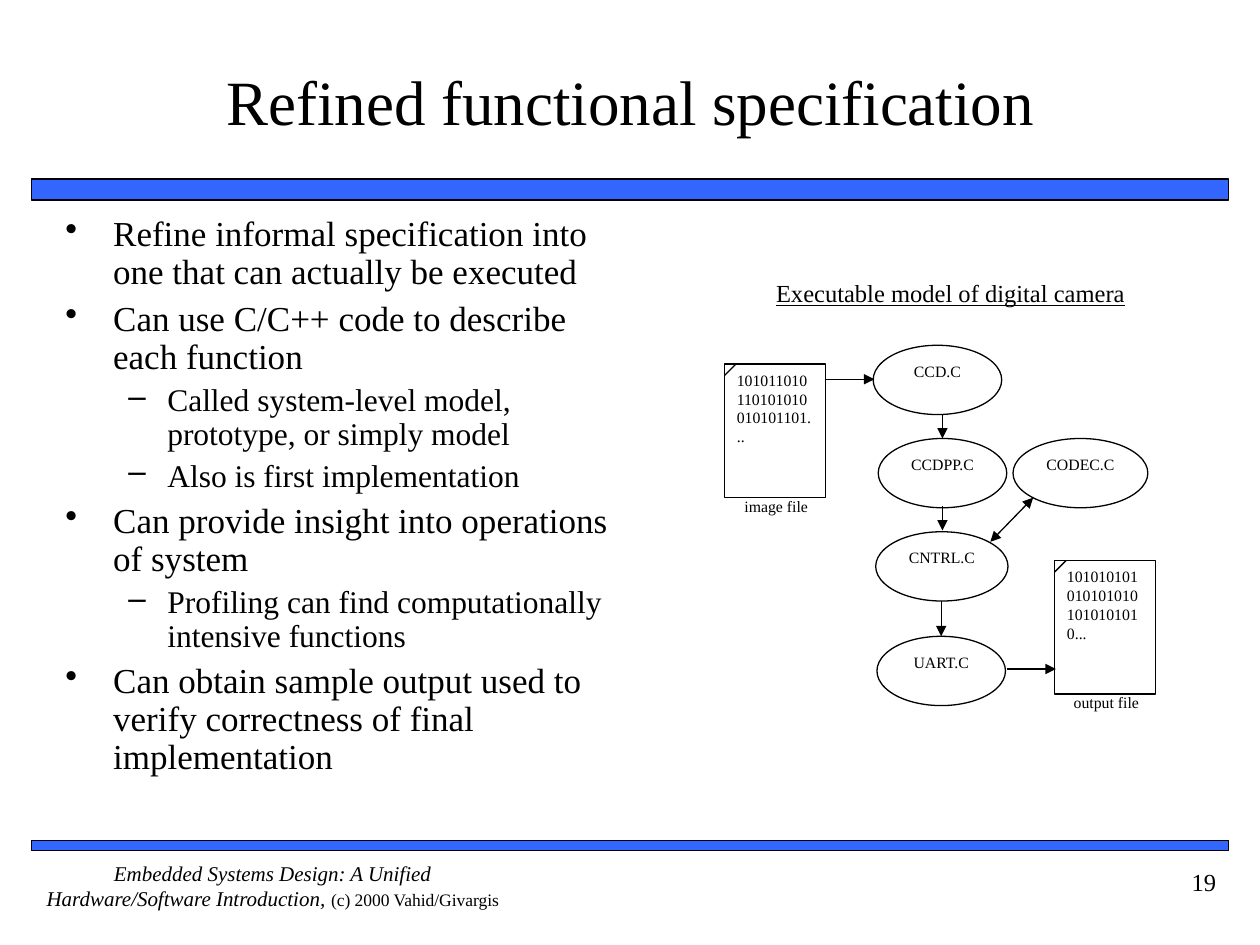
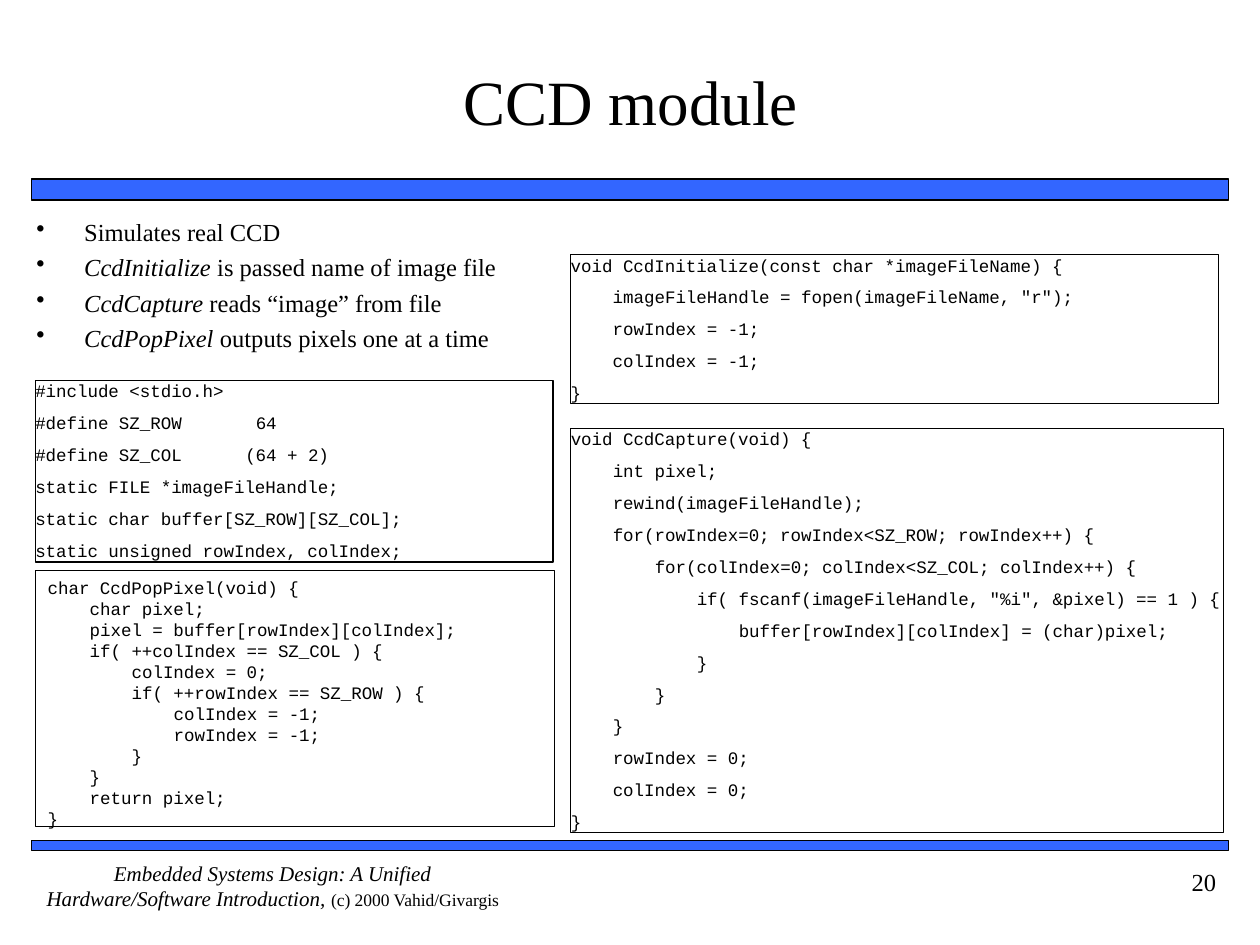
from dataclasses import dataclass
from typing import NamedTuple

from lxml.etree import SubElement
from pptx import Presentation
from pptx.dml.color import RGBColor
from pptx.enum.shapes import MSO_CONNECTOR as Connector, MSO_SHAPE as Preset
from pptx.enum.text import MSO_ANCHOR as Anchor, PP_ALIGN as Align
from pptx.oxml.ns import qn
from pptx.util import Inches, Pt


@dataclass(frozen=True)
class Theme:
    band: RGBColor = RGBColor(0x33, 0x66, 0xFF)
    ink: RGBColor = RGBColor(0, 0, 0)
    paper: RGBColor = RGBColor(255, 255, 255)
    serif: str = "Times New Roman"
    mono: str = "Courier New"
    title: float = 36
    topic: float = 20
    subtopic: float = 18
    note: float = 14
    footer: float = 12
    code: float = 10
    label: float = 9
    thin: float = 0.75
    band_line: float = 1


class Box(NamedTuple):
    left: float
    top: float
    width: float
    height: float

    def inner(self, left, top, width, height):
        return Box(self.left + left, self.top + top, width, height)


THEME = Theme()
PADDING = (0.1, 0.05)
CHARACTER_WIDTH = THEME.code * 0.6 / 72

TOPICS = [
    (0, "Refine informal specification into one that can actually be executed"),
    (0, "Can use C/C++ code to describe each function"),
    (1, "Called system-level model, prototype, or simply model"),
    (1, "Also is first implementation"),
    (0, "Can provide insight into operations of system"),
    (1, "Profiling can find computationally intensive functions"),
    (0, "Can obtain sample output used to verify correctness of final implementation"),
]
CCD_POINTS = [
    ("", "Simulates real CCD"),
    ("CcdInitialize", " is passed name of image file"),
    ("CcdCapture", " reads “image” from file"),
    ("CcdPopPixel", " outputs pixels one at a time"),
]
DECLARATIONS = """#include <stdio.h>
#define SZ_ROW       64
#define SZ_COL      (64 + 2)
static FILE *imageFileHandle;
static char buffer[SZ_ROW][SZ_COL];
static unsigned rowIndex, colIndex;"""
POP_PIXEL = """char CcdPopPixel(void) {
    char pixel;
    pixel = buffer[rowIndex][colIndex];
    if( ++colIndex == SZ_COL ) {
        colIndex = 0;
        if( ++rowIndex == SZ_ROW ) {
            colIndex = -1;
            rowIndex = -1;
        }
    }
    return pixel;
}"""
INITIALIZE = """void CcdInitialize(const char *imageFileName) {
    imageFileHandle = fopen(imageFileName, "r");
    rowIndex = -1;
    colIndex = -1;
}"""
CAPTURE = """void CcdCapture(void) {
    int pixel;
    rewind(imageFileHandle);
    for(rowIndex=0; rowIndex<SZ_ROW; rowIndex++) {
        for(colIndex=0; colIndex<SZ_COL; colIndex++) {
            if( fscanf(imageFileHandle, "%i", &pixel) == 1 ) {
                buffer[rowIndex][colIndex] = (char)pixel;
            }
        }
    }
    rowIndex = 0;
    colIndex = 0;
}"""


def set_frame(shape, padding, anchor=Anchor.TOP):
    frame = shape.text_frame
    frame.word_wrap = True
    frame.vertical_anchor = anchor
    frame.margin_left = frame.margin_right = Inches(padding[0])
    frame.margin_top = frame.margin_bottom = Inches(padding[1])
    return frame


def add_text_box(slide, box, padding=PADDING, anchor=Anchor.TOP):
    return set_frame(slide.shapes.add_textbox(*map(Inches, box)), padding, anchor)


def add_paragraph(frame, text, size, font=THEME.serif, align=Align.LEFT, before=0):
    first = frame.paragraphs[0]
    paragraph = frame.add_paragraph() if first.runs else first
    paragraph.alignment = align
    paragraph.space_before = Pt(before)
    paragraph.font.name = font
    paragraph.font.size = Pt(size)
    paragraph.font.color.rgb = THEME.ink
    if text:
        paragraph.add_run().text = text
    return paragraph


def add_bullet(paragraph, mark, left, hanging):
    properties = paragraph._p.get_or_add_pPr()
    properties.set("marL", str(Inches(left)))
    properties.set("indent", str(-Inches(hanging)))
    bullet = properties.makeelement(qn("a:buChar"), {"char": mark})
    properties.find(qn("a:defRPr")).addprevious(bullet)


def add_figure(slide, preset, box, fill=THEME.paper, line=THEME.thin):
    shape = slide.shapes.add_shape(preset, *map(Inches, box))
    shape.shadow.inherit = False
    if fill is None:
        shape.fill.background()
    else:
        shape.fill.solid()
        shape.fill.fore_color.rgb = fill
    if line:
        shape.line.color.rgb = THEME.ink
        shape.line.width = Pt(line)
    else:
        shape.line.fill.background()
    return shape


def add_line(slide, box, start, end, arrows=()):
    points = (box.left + start[0], box.top + start[1],
              box.left + end[0], box.top + end[1])
    connector = slide.shapes.add_connector(Connector.STRAIGHT, *map(Inches, points))
    connector.line.color.rgb = THEME.ink
    connector.line.width = Pt(THEME.thin)
    properties = connector._element.spPr
    for arrow in arrows:
        SubElement(properties.find(qn("a:ln")), qn(arrow), type="triangle")
    SubElement(properties, qn("a:effectLst"))


def add_page(presentation, title, number):
    slide = presentation.slides.add_slide(presentation.slide_layouts[6])
    for top, height in ((1.42, 0.17), (6.67, 0.08)):
        add_figure(slide, Preset.RECTANGLE, Box(0.25, top, 9.5, height),
                   THEME.band, THEME.band_line)
    heading = add_text_box(slide, Box(0.42, 0.17, 9.17, 1.25), (0, 0.05), Anchor.MIDDLE)
    add_paragraph(heading, title, THEME.title, align=Align.CENTER)

    footer = add_text_box(slide, Box(0.25, 6.83, 3.83, 0.5), (0, 0))
    credit = add_paragraph(
        footer, "Embedded Systems Design: A Unified Hardware/Software Introduction, ",
        THEME.footer, align=Align.CENTER)
    credit.runs[0].font.italic = True
    authors = credit.add_run()
    authors.text = "(c) 2000 Vahid/Givargis"
    authors.font.size = Pt(THEME.code)

    page = add_text_box(slide, Box(8.75, 6.83, 1, 0.5))
    add_paragraph(page, str(number), THEME.note, align=Align.RIGHT, before=8.8)
    return slide


def add_topics(slide, box):
    frame = add_text_box(slide, box)
    levels = ((THEME.topic, 5, "•", 0.38, 0.38), (THEME.subtopic, 4.5, "–", 0.81, 0.31))
    for level, text in TOPICS:
        size, before, mark, left, hanging = levels[level]
        paragraph = add_paragraph(frame, text, size, before=before)
        paragraph.level = level
        paragraph.line_spacing = 0.9
        add_bullet(paragraph, mark, left, hanging)


def add_ccd_points(slide, box):
    frame = add_text_box(slide, box)
    for function, text in CCD_POINTS:
        paragraph = add_paragraph(frame, function, THEME.note, before=3.5)
        if function:
            paragraph.runs[0].font.italic = True
        paragraph.add_run().text = text
        add_bullet(paragraph, "•", 0.38, 0.38)


def add_file(slide, box, bits, caption):
    label = add_figure(slide, Preset.RECTANGLE, box.inner(0, 1, 0.82, 0.33), line=0)
    add_paragraph(set_frame(label, PADDING), caption, THEME.label, align=Align.CENTER)
    sheet = add_figure(slide, Preset.RECTANGLE, box)
    add_paragraph(set_frame(sheet, PADDING), bits, THEME.label)
    add_line(slide, box, (0, 0.09), (0.09, 0))


def add_camera_model(slide, box):
    heading = add_text_box(slide, box.inner(0.4, 0.01, 2.79, 0.23), (0, 0))
    paragraph = add_paragraph(heading, "Executable model of digital camera",
                              THEME.note, align=Align.CENTER, before=8.8)
    paragraph.font.underline = True

    add_file(slide, box.inner(0, 0.69, 0.8, 1.06),
             "101011010110101010010101101...", "image file")
    add_file(slide, box.inner(2.62, 2.25, 0.8, 1.06),
             "1010101010101010101010101010...", "output file")

    for name, left, top, width in (
        ("CCD.C", 1.18, 0.54, 1.02),
        ("CCDPP.C", 1.22, 1.28, 1.02),
        ("CODEC.C", 2.29, 1.28, 1.07),
        ("CNTRL.C", 1.2, 2.02, 1.05),
        ("UART.C", 1.21, 2.85, 1.02),
    ):
        module = add_figure(slide, Preset.OVAL, box.inner(left, top, width, 0.55))
        add_paragraph(set_frame(module, (0, 0.05)), name, THEME.label, align=Align.CENTER)

    for start, end in (
        ((0.8, 0.81), (1.19, 0.81)),
        ((1.73, 1.09), (1.73, 1.28)),
        ((1.73, 1.82), (1.73, 2.01)),
        ((1.72, 2.57), (1.72, 2.85)),
        ((2.24, 3.11), (2.63, 3.11)),
    ):
        add_line(slide, box, start, end, ["a:tailEnd"])
    add_line(slide, box, (2.11, 2.1), (2.45, 1.75), ["a:headEnd", "a:tailEnd"])


def add_code(slide, box, code, padding=(0, 0), before=6.2):
    frame = set_frame(add_figure(slide, Preset.RECTANGLE, box, fill=None), padding)
    for line in code.splitlines():
        text = line.lstrip()
        name, gap, value = text.rpartition("  ")
        shown = f"{name.rstrip()}\t{value}" if gap else text
        paragraph = add_paragraph(frame, shown, THEME.code, THEME.mono, before=before)
        properties = paragraph._p.get_or_add_pPr()
        indent = (len(line) - len(text)) * CHARACTER_WIDTH
        properties.set("marL", str(Inches(indent)))
        if gap:
            stops = properties.makeelement(qn("a:tabLst"), {})
            column = Inches((len(text) - len(value)) * CHARACTER_WIDTH)
            SubElement(stops, qn("a:tab"), pos=str(column), algn="l")
            properties.find(qn("a:defRPr")).addprevious(stops)


def build_specification(presentation):
    slide = add_page(presentation, "Refined functional specification", 19)
    add_topics(slide, Box(0.42, 1.67, 4.66, 4.92))
    add_camera_model(slide, Box(5.75, 2.2, 3.44, 3.58))


def build_ccd_module(presentation):
    slide = add_page(presentation, "CCD module", 20)
    add_ccd_points(slide, Box(0.19, 1.67, 4.24, 1.26))
    add_code(slide, Box(0.28, 4.53, 4.12, 2.03), POP_PIXEL, PADDING, before=0)
    add_code(slide, Box(0.28, 3.02, 4.11, 1.44), DECLARATIONS)
    add_code(slide, Box(4.53, 2.02, 5.14, 1.18), INITIALIZE)
    add_code(slide, Box(4.53, 3.4, 5.18, 3.21), CAPTURE)


def main():
    presentation = Presentation()
    presentation.slide_width = Inches(10)
    presentation.slide_height = Inches(7.5)
    build_specification(presentation)
    build_ccd_module(presentation)
    presentation.save("out.pptx")


if __name__ == "__main__":
    main()
